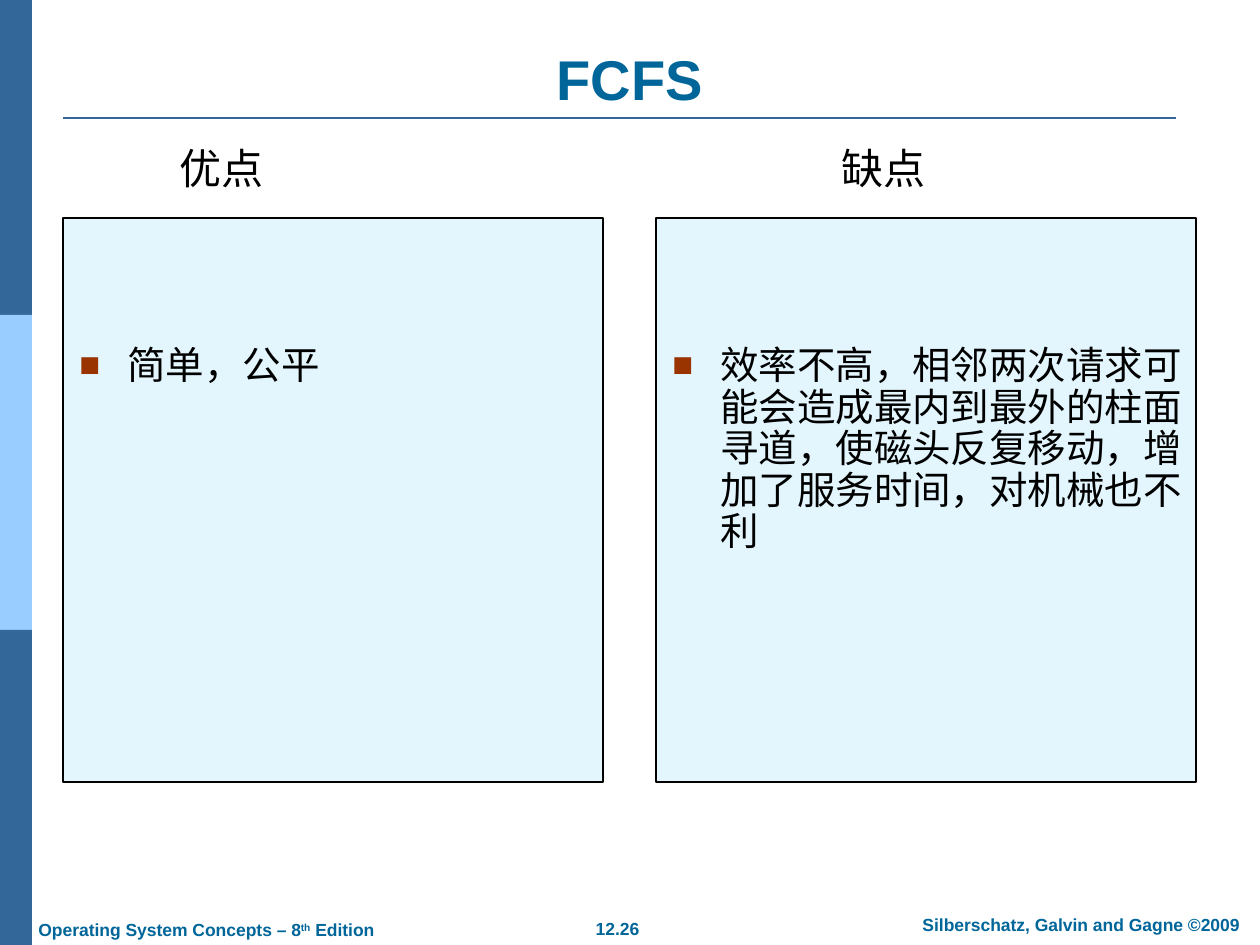
from lxml.etree import SubElement
from pptx import Presentation
from pptx.dml.color import RGBColor
from pptx.enum.shapes import MSO_CONNECTOR, MSO_SHAPE
from pptx.enum.text import MSO_ANCHOR, PP_ALIGN
from pptx.oxml.ns import qn
from pptx.util import Emu, Pt

BLACK = RGBColor(0x00, 0x00, 0x00)
TEAL = RGBColor(0x00, 0x66, 0x99)
NAVY = RGBColor(0x33, 0x66, 0x99)
SKY = RGBColor(0x99, 0xCC, 0xFF)
CYAN = RGBColor(0x00, 0xB0, 0xF0)
LATIN = "Arial"
HAN = "Noto Sans CJK SC"
WIDE, HIGH = 1260, 945


def px(n):
    return Emu(round(n * 914400 / 126))


def block(slide, box, fill, line=None, alpha=None):
    shape = slide.shapes.add_shape(MSO_SHAPE.RECTANGLE, *map(px, box))
    shape.shadow.inherit = False
    shape.fill.solid()
    shape.fill.fore_color.rgb = fill
    if alpha:
        tint = shape.fill._xPr.find(f".//{qn('a:srgbClr')}")
        SubElement(tint, qn("a:alpha"), val=str(alpha * 1000))
    if line is None:
        shape.line.fill.background()
    else:
        shape.line.color.rgb = line
        shape.line.width = Pt(0.75)


def bullet(para):
    props = para._p.get_or_add_pPr()
    props.set("marL", str(px(48)))
    props.set("indent", str(-px(48)))
    tone = SubElement(props, qn("a:buClr"))
    SubElement(tone, qn("a:srgbClr"), val="993300")
    SubElement(props, qn("a:buSzPct"), val="90000")
    SubElement(props, qn("a:buFont"), typeface=LATIN)
    SubElement(props, qn("a:buChar"), char="■")


def write(slide, box, text, size=10, font=LATIN, color=TEAL, bold=True,
          align=PP_ALIGN.LEFT, anchor=MSO_ANCHOR.TOP, mark=False,
          space=None):
    """Text is a string or a list of (string, superscript) pairs."""
    frame = slide.shapes.add_textbox(*map(px, box)).text_frame
    frame.word_wrap = True
    frame.vertical_anchor = anchor
    para = frame.paragraphs[0]
    if mark:
        bullet(para)
    para.alignment = align
    if space:
        para.line_spacing = space
    for words, raised in [(text, False)] if isinstance(text, str) else text:
        run = para.add_run()
        run.text = words
        run.font.size = Pt(size)
        run.font.name = font
        run.font.bold = bold
        run.font.color.rgb = color
        props = run._r.get_or_add_rPr()
        SubElement(props, qn("a:ea"), typeface=font)
        if raised:
            props.set("baseline", "30000")


def side(slide, box):
    # Three equal bands down the left edge
    left, top, width, height = box
    band = height // 3
    for i, fill in enumerate((NAVY, SKY, NAVY)):
        block(slide, (left, top + i * band, width, band), fill)


def head(slide, box, text):
    # Title with a rule below
    left, top, width, height = box
    write(slide, box, text, size=32, align=PP_ALIGN.CENTER,
          anchor=MSO_ANCHOR.BOTTOM)
    base = top + height
    rule = slide.shapes.add_connector(
        MSO_CONNECTOR.STRAIGHT, px(left), px(base),
        px(left + width - 21), px(base))
    rule.line.color.rgb = NAVY
    rule.line.width = Pt(1.5)
    SubElement(rule._element.spPr, qn("a:effectLst"))


def panel(slide, box, label, shift, text):
    # Label above a tinted frame with one bullet
    left, top, width, height = box
    block(slide, box, CYAN, line=BLACK, alpha=11)
    han = dict(font=HAN, color=BLACK, bold=False)
    write(slide, (left + shift, top - 82, 120, 63), label, size=24, **han)
    write(slide, (left + 4, top + 122, width, height - 156), text, size=22,
          mark=True, space=0.9, **han)


def foot(slide, box):
    # Book, page number and copyright
    left, top, width, height = box
    book = [("Operating System Concepts – 8", False), ("th", True),
            (" Edition", False)]
    write(slide, (left, top + 5, 400, height), book)
    write(slide, (left + 525, top + 4, 133, height), "12.26",
          align=PP_ALIGN.CENTER)
    write(slide, (left + width - 374, top, 374, height),
          "Silberschatz, Galvin and Gagne ©2009", align=PP_ALIGN.CENTER)


def main():
    deck = Presentation()
    deck.slide_width, deck.slide_height = px(WIDE), px(HIGH)
    slide = deck.slides.add_slide(deck.slide_layouts[6])
    side(slide, (0, 0, 32, HIGH))
    head(slide, (63, 39, 1134, 79), "FCFS")
    panel(slide, (63, 218, 540, 564), "优点", 104, "简单，公平")
    panel(slide, (656, 218, 540, 564), "缺点", 173,
          "效率不高，相邻两次请求可能会造成最内到最外的柱面寻道，"
          "使磁头反复移动，增加了服务时间，对机械也不利")
    foot(slide, (26, 908, 1242, 34))
    deck.save("out.pptx")


if __name__ == "__main__":
    main()
